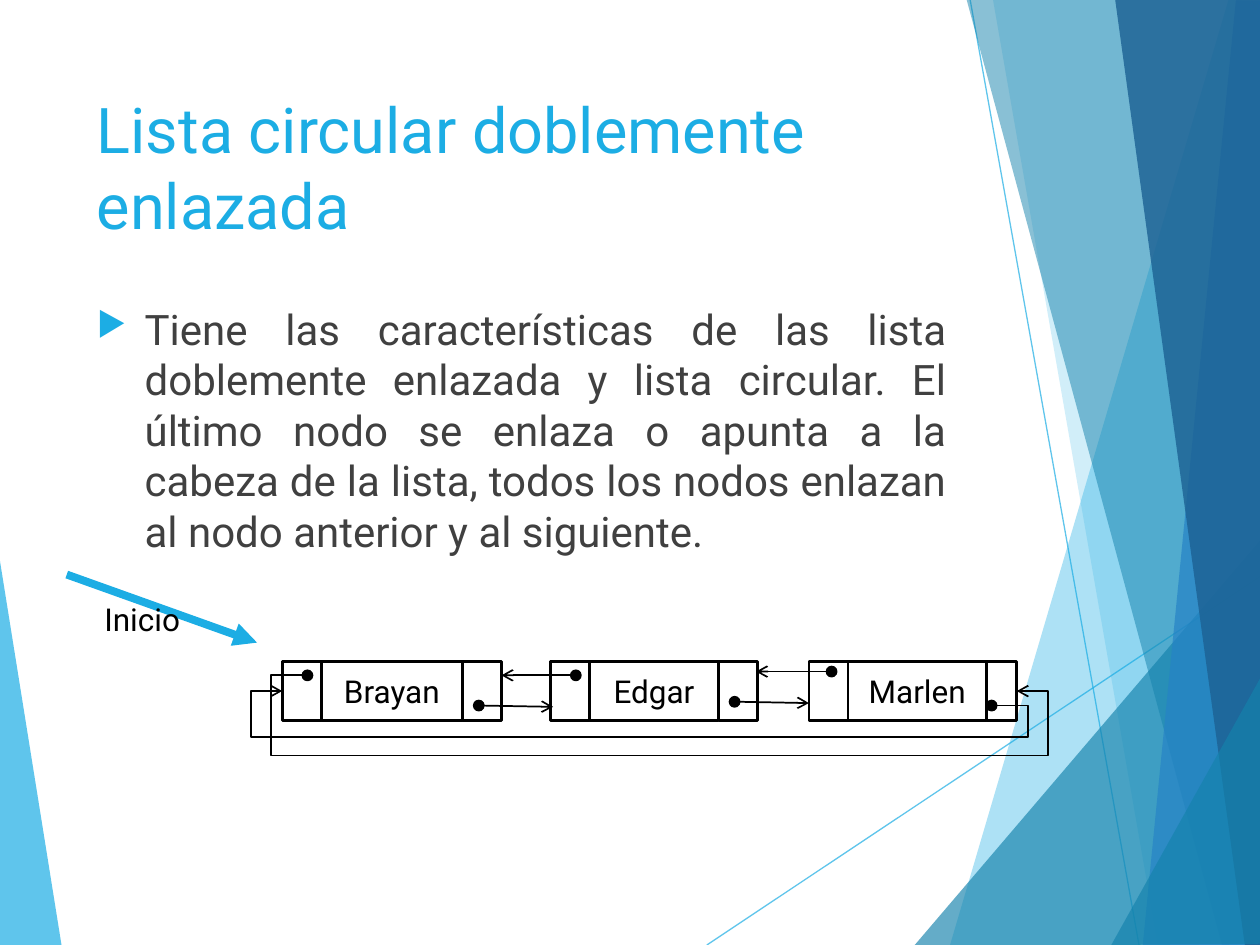
"""Build the slide on the circular doubly linked list."""
from lxml.etree import SubElement
from pptx import Presentation
from pptx.dml.color import RGBColor
from pptx.enum.shapes import MSO_CONNECTOR, MSO_SHAPE
from pptx.enum.text import MSO_ANCHOR, PP_ALIGN
from pptx.oxml.ns import qn
from pptx.util import Inches, Pt

FONT = "Roboto"
BLACK, SKY, TEAL, BLUE, NAVY, GRAY = "000000", "1CADE4", "1482AC", "2683C6", "1D6294", "404040"

LEFT_FACET = ([(-0.01, 4.39), (0.49, 7.51), (-0.01, 7.5)], SKY, 70)
RAYS = [((5.61, 7.5), (10.01, 4.57)), ((7.7, 0), (9.04, 7.5))]
RIGHT_FACETS = [
    ([(9.75, 0), (7.54, 7.5), (10.02, 7.51), (10.01, 0.01)], SKY, 36),
    ([(7.88, -0.01), (9.19, 7.5), (10.01, 7.5), (10.01, -0.01)], SKY, 20),
    ([(7.26, 7.5), (10, 4.29), (10.01, 7.5)], TEAL, 66),
    ([(7.67, -0.01), (9.7, 7.5), (10.01, 7.49), (10.01, -0.01)], TEAL, 50),
    ([(9.81, -0.01), (9.07, 7.5), (10.01, 7.5), (10, -0.01)], BLUE, 70),
    ([(8.85, -0.01), (9.88, 7.5), (10.02, 7.5), (10, -0.01)], NAVY, 82),
    ([(8.82, 7.5), (10.02, 5.35), (10.02, 7.49)], TEAL, 66),
]

TITLE = "Lista circular doblemente enlazada"
BODY = ("Tiene las características de las lista doblemente enlazada y lista circular. "
        "El último nodo se enlaza o apunta a la cabeza de la lista, todos los nodos "
        "enlazan al nodo anterior y al siguiente.")
START_LABEL = "Inicio"
START_ARROW = ((0.53, 4.56), (2.04, 5.1))

NODE_TOP, NODE_HEIGHT, PREVIOUS_WIDTH, DOT = 5.25, 0.47, 0.31, 0.08
NODES = [("Brayan", 2.24, 1.12, 0.31), ("Edgar", 4.37, 1.02, 0.31), ("Marlen", 6.42, 1.1, 0.24)]
NEXT_LINKS = [((3.76, 5.56), (4.39, 5.61)), ((5.79, 5.53), (6.42, 5.58))]
PREVIOUS_LINKS = [((4.53, 5.32), (3.98, 5.36)), ((6.56, 5.29), (6, 5.33))]
LAST_DOT, FIRST_DOT = (7.83, 5.56), (2.4, 5.32)
LOOP_TO_FIRST = {"start": (7.91, 5.6), "end": (2.24, 5.48), "turns": (8.16, 5.86, 1.99)}
LOOP_TO_LAST = {"start": (2.4, 5.36), "end": (8.07, 5.48), "turns": (2.15, 5.97, 8.32)}


def rgb(color):
    return RGBColor.from_string(color)


def set_alpha(color_format_parent, percent):
    for color in color_format_parent.iter(qn("a:srgbClr")):
        SubElement(color, qn("a:alpha"), val=str(percent * 1000))


def add_facet(slide, points, color, opacity):
    corners = [(Inches(x), Inches(y)) for x, y in points]
    builder = slide.shapes.build_freeform(*corners[0])
    builder.add_line_segments(corners[1:], close=True)
    facet = builder.convert_to_shape()
    facet.shadow.inherit = False
    facet.fill.solid()
    facet.fill.fore_color.rgb = rgb(color)
    set_alpha(facet.fill._xPr, opacity)
    facet.line.fill.background()


def add_line(slide, start, end, color=BLACK, width=1, arrow=None, kind=MSO_CONNECTOR.STRAIGHT):
    line = slide.shapes.add_connector(kind, *(Inches(v) for v in (*start, *end)))
    line.line.color.rgb = rgb(color)
    line.line.width = Pt(width)
    if arrow:
        SubElement(line.line._get_or_add_ln(), qn("a:tailEnd"), type=arrow)
    SubElement(line._element.spPr, qn("a:effectLst"))
    return line


def add_loop(slide, start, end, turns):
    loop = add_line(slide, start, end, arrow="arrow", kind=MSO_CONNECTOR.ELBOW)
    geometry = loop._element.spPr.find(qn("a:prstGeom"))
    geometry.set("prst", "bentConnector5")
    guides = geometry.find(qn("a:avLst"))
    for number, (turn, axis) in enumerate(zip(turns, (0, 1, 0)), 1):
        ratio = (turn - start[axis]) / (end[axis] - start[axis])
        SubElement(guides, qn("a:gd"), name=f"adj{number}", fmla=f"val {round(ratio * 100000)}")
    return loop


def write(shape, text, size, color, frame_format, paragraph_format):
    frame = shape.text_frame
    paragraph = frame.paragraphs[0]
    run = paragraph.add_run()
    run.text = text
    run.font.color.rgb = rgb(color)
    formats = [(frame, frame_format), (paragraph, paragraph_format),
               (run.font, {"name": FONT, "size": Pt(size)})]
    for target, values in formats:
        for attribute, value in values.items():
            setattr(target, attribute, value)
    return paragraph


def add_text(slide, box, text, size, color, wrap=True, **paragraph_format):
    holder = slide.shapes.add_textbox(*map(Inches, box))
    return write(holder, text, size, color, {"word_wrap": wrap}, paragraph_format)


def add_bullet(paragraph):
    properties = paragraph._p.get_or_add_pPr()
    properties.set("marL", str(Inches(0.38)))
    properties.set("indent", str(Inches(-0.38)))
    SubElement(SubElement(properties, qn("a:buClr")), qn("a:srgbClr"), val=SKY)
    SubElement(properties, qn("a:buSzPct"), val="80000")
    SubElement(properties, qn("a:buChar"), char="▶")


def add_cell(slide, left, width):
    cell = slide.shapes.add_shape(
        MSO_SHAPE.RECTANGLE, *map(Inches, (left, NODE_TOP, width, NODE_HEIGHT)))
    cell.shadow.inherit = False
    cell.fill.background()
    cell.line.color.rgb = rgb(BLACK)
    cell.line.width = Pt(1.5)
    return cell


def add_node(slide, name, left, name_width, next_width):
    name_left = left + PREVIOUS_WIDTH
    previous_cell = add_cell(slide, left, PREVIOUS_WIDTH)
    name_cell = add_cell(slide, name_left, name_width)
    write(name_cell, name, 18, BLACK,
          {"word_wrap": True, "vertical_anchor": MSO_ANCHOR.MIDDLE},
          {"alignment": PP_ALIGN.CENTER})
    next_cell = add_cell(slide, name_left + name_width, next_width)
    return previous_cell, next_cell


def add_dot(slide, left, top):
    dot = slide.shapes.add_shape(MSO_SHAPE.OVAL, *map(Inches, (left, top, DOT, DOT)))
    dot.shadow.inherit = False
    dot.fill.solid()
    dot.fill.fore_color.rgb = rgb(BLACK)
    dot.line.color.rgb = rgb(BLACK)
    dot.line.width = Pt(1)


def add_links(slide, links, exit_offset):
    for (left, top), target in links:
        add_dot(slide, left, top)
        add_line(slide, (left + exit_offset, top + DOT / 2), target, arrow="arrow")


def main():
    deck = Presentation()
    deck.slide_width, deck.slide_height = Inches(10), Inches(7.5)
    slide = deck.slides.add_slide(deck.slide_layouts[6])

    add_facet(slide, *LEFT_FACET)
    for start, end in RAYS:
        ray = add_line(slide, start, end, SKY, 0.75)
        set_alpha(ray._element.spPr, 70)
    for facet in RIGHT_FACETS:
        add_facet(slide, *facet)

    add_text(slide, (0.67, 0.67, 6.94, 1.44), TITLE, 36, SKY)
    body = add_text(slide, (0.67, 2.36, 6.94, 4.24), BODY, 24, GRAY,
                    alignment=PP_ALIGN.JUSTIFY, space_before=Pt(10))
    add_bullet(body)

    cells = [add_node(slide, *node) for node in NODES]
    add_links(slide, NEXT_LINKS, DOT)
    add_links(slide, PREVIOUS_LINKS, 0)
    for dot in (LAST_DOT, FIRST_DOT):
        add_dot(slide, *dot)
    add_loop(slide, **LOOP_TO_FIRST).end_connect(cells[0][0], 1)
    add_loop(slide, **LOOP_TO_LAST).end_connect(cells[-1][1], 3)

    add_line(slide, *START_ARROW, SKY, 4.5, "triangle")
    add_text(slide, (0.73, 4.71, 0.84, 0.4), START_LABEL, 18, BLACK, wrap=False)
    deck.save("out.pptx")


if __name__ == "__main__":
    main()
